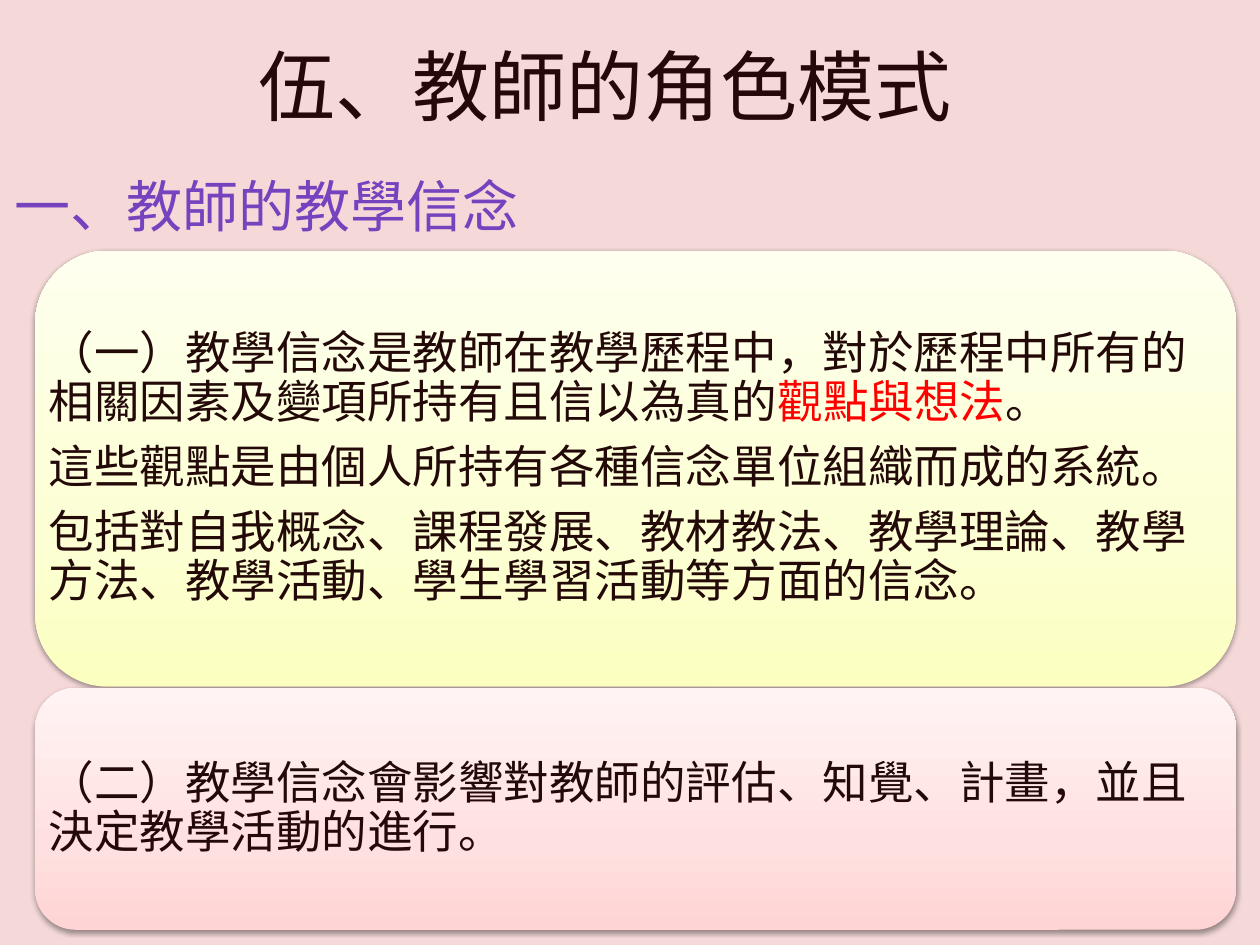
"""Builds a slide on the teaching beliefs of teachers."""
from dataclasses import dataclass

from lxml import etree
from pptx import Presentation, util as u
from pptx.dml import color
from pptx.enum import shapes, text
from pptx.oxml import ns


@dataclass(frozen=True)
class Theme:
    font: str = "Noto Sans CJK SC"
    page: str = "F5D9D9"
    ink: str = "240909"
    heading: str = "7742BE"
    accent: str = "FF0000"
    shadow: str = "000000"
    yellow: tuple = ((0, "FBFFC0"), (35, "FCFFD3"), (100, "FEFFEE"))
    pink: tuple = ((0, "FFD4D4"), (35, "FFE0E0"), (100, "FFF3F3"))
    title_size: float = 44
    heading_size: float = 32
    body_size: float = 26


def assign(target, values):
    for name, value in values.items():
        setattr(target, name, value)


def add_tag(parent, tag, **values):
    return etree.SubElement(parent, ns.qn(tag), values)


def add_color(parent, code, alpha=100):
    tint = add_tag(parent, "a:srgbClr", val=code)
    if alpha < 100:
        add_tag(tint, "a:alpha", val=str(alpha * 1000))


class SlideBuilder:
    def __init__(self, deck, theme):
        self.theme = theme
        self.page = deck.slides.add_slide(deck.slide_layouts[6])
        fill = self.page.background.fill
        fill.solid()
        fill.fore_color.rgb = color.RGBColor.from_string(theme.page)

    def add_shadow(self, effects):
        shadow = add_tag(effects, "a:outerShdw", blurRad=str(u.Pt(3.1)),
                         dist=str(u.Pt(1.6)), dir="5400000", rotWithShape="0")
        add_color(shadow, self.theme.shadow, 38)

    def add_span(self, para, words, size, code, shadow=False):
        span = para.add_run()
        span.text = words
        assign(span.font, {"size": u.Pt(size), "name": self.theme.font})
        span.font.color.rgb = color.RGBColor.from_string(code)
        props = span.font._element
        latin = props.find(ns.qn("a:latin"))
        latin.addnext(etree.Element(ns.qn("a:ea"), typeface=self.theme.font))
        if shadow:
            effects = etree.Element(ns.qn("a:effectLst"))
            latin.addprevious(effects)
            self.add_shadow(effects)

    def add_text(self, place, paras, size, frame=None, layout=None, shadow=False):
        box = self.page.shapes.add_textbox(*map(u.Pt, place))
        body = box.text_frame
        assign(body, {"word_wrap": True, **(frame or {})})
        for index, spans in enumerate(paras):
            para = body.add_paragraph() if index else body.paragraphs[0]
            assign(para, layout or {})
            for words, code in spans:
                self.add_span(para, words, size, code, shadow)

    def add_panel(self, place, stops):
        panel = self.page.shapes.add_shape(
            shapes.MSO_SHAPE.ROUNDED_RECTANGLE, *map(u.Pt, place))
        panel.fill.gradient()
        panel.fill.gradient_angle = 90
        panel.line.fill.background()
        panel.shadow.inherit = False
        props = panel._element.spPr
        stop_list = props.find(".//" + ns.qn("a:gsLst"))
        for stop in list(stop_list):
            stop_list.remove(stop)
        for position, code in stops:
            add_color(add_tag(stop_list, "a:gs", pos=str(position * 1000)), code)
        self.add_shadow(props.find(ns.qn("a:effectLst")))

    def add_card(self, place, stops, paras):
        self.add_panel(place, stops)
        sides = ("left", "top", "right", "bottom")
        frame = {f"margin_{side}": u.Pt(7.8) for side in sides}
        frame["vertical_anchor"] = text.MSO_ANCHOR.MIDDLE
        layout = {"line_spacing": 0.9, "space_after": u.Pt(9.1)}
        self.add_text(place, paras, self.theme.body_size, frame, layout)


def main():
    deck = Presentation()
    assign(deck, {"slide_width": u.Pt(720), "slide_height": u.Pt(540)})
    theme = Theme()
    slide = SlideBuilder(deck, theme)
    slide.add_text((87.8, 0, 516.2, 96.5), [[("伍、教師的角色模式", theme.ink)]],
                   theme.title_size, {"vertical_anchor": text.MSO_ANCHOR.MIDDLE},
                   {"alignment": text.PP_ALIGN.CENTER}, shadow=True)
    beliefs = [
        [("（一）教學信念是教師在教學歷程中，對於歷程中所有的相關因素及變項所持有且信以為真的", theme.ink),
         ("觀點與想法", theme.accent), ("。", theme.ink)],
        [("這些觀點是由個人所持有各種信念單位組織而成的系統。", theme.ink)],
        [("包括對自我概念、課程發展、教材教法、教學理論、教學方法、教學活動、學生學習活動等方面的信念。", theme.ink)],
    ]
    effects = [[("（二）教學信念會影響對教師的評估、知覺、計畫，並且決定教學活動的進行。", theme.ink)]]
    left, top, width, gap = 20.1, 143.2, 686.2, 0.7
    for height, stops, paras in ((249.2, theme.yellow, beliefs),
                                 (138.2, theme.pink, effects)):
        slide.add_card((left, top, width, height), stops, paras)
        top += height + gap
    slide.add_text((1.4, 94.3, 305.3, 46.1), [[("一、教師的教學信念", theme.heading)]],
                   theme.heading_size,
                   {"word_wrap": False, "auto_size": text.MSO_AUTO_SIZE.SHAPE_TO_FIT_TEXT})
    deck.save("out.pptx")


if __name__ == "__main__":
    main()
